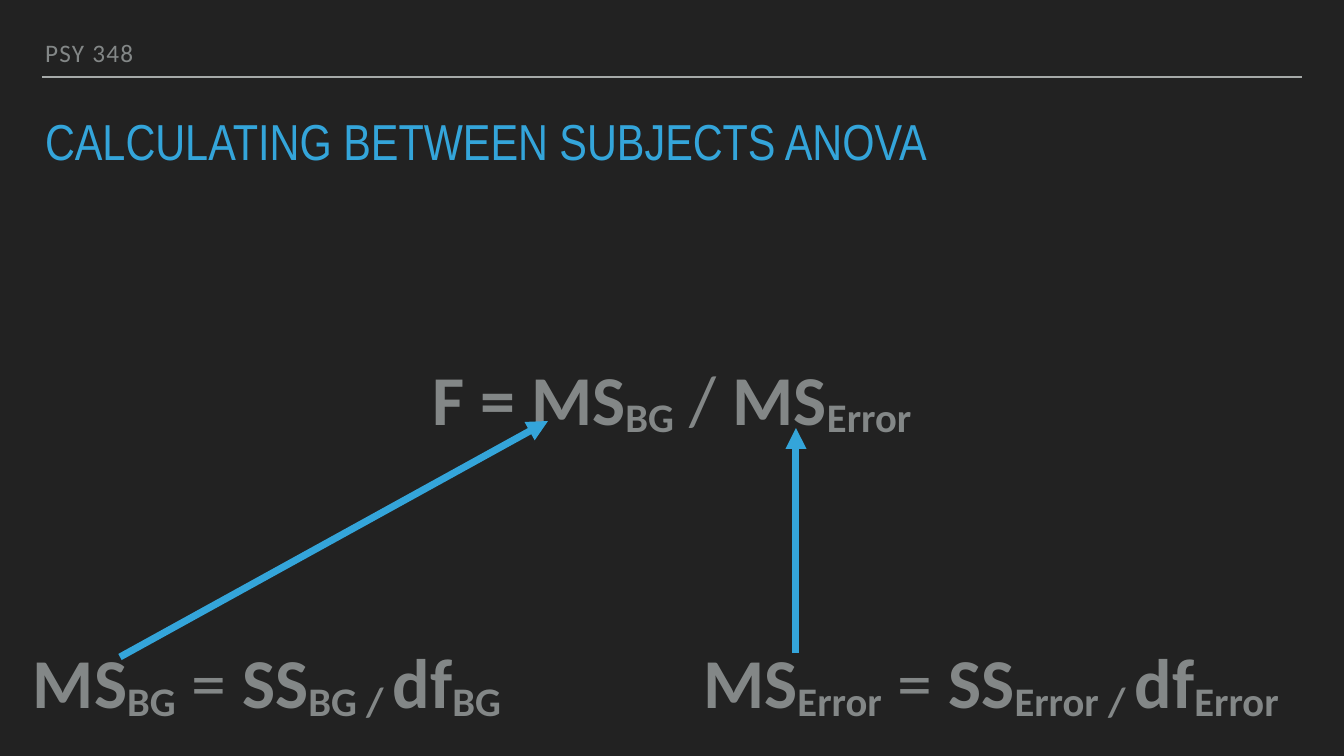
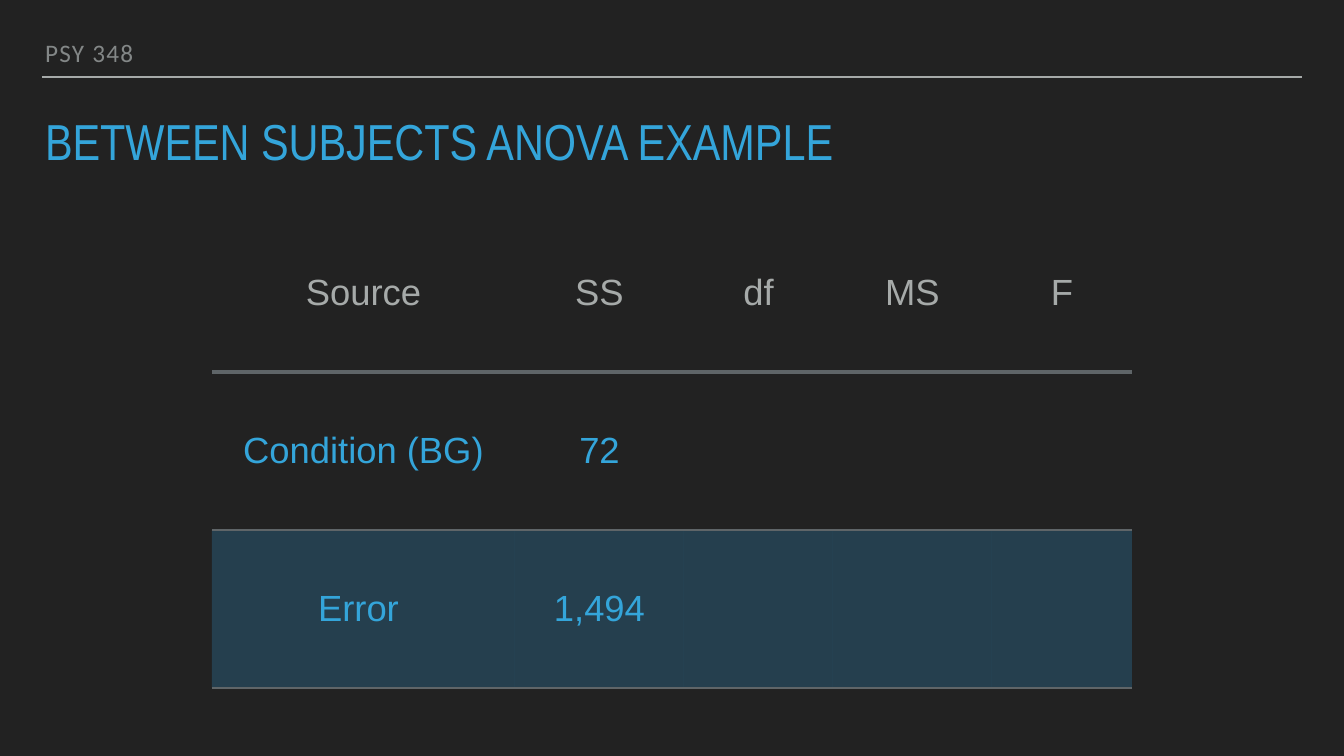
import pptx
import pptx.util
import pptx.dml.color
import pptx.enum.text
import pptx.enum.shapes
import lxml.etree

PX = 914400 / 50.4
BACK, GREY, PALE, BLUE = "222222", "838787", "A6AAA9", "34A5DA"
RULE, BAND = "5F6568", "2E87BB"
NS = "http://schemas.openxmlformats.org/drawingml/2006/main"
A = "{%s}" % NS
Pt = pptx.util.Pt
rgb = pptx.dml.color.RGBColor.from_string
ANCHOR = pptx.enum.text.MSO_ANCHOR
ALIGN = pptx.enum.text.PP_ALIGN


def write(shape, box, parts, face, size, tone):
    """Place shape and fill one paragraph; parts led by "_" are subscripts."""
    shape.left, shape.top, shape.width, shape.height = [round(n * PX) for n in box]
    frame = shape.text_frame
    frame.word_wrap = True
    frame.auto_size = pptx.enum.text.MSO_AUTO_SIZE.NONE
    frame.vertical_anchor = ANCHOR.TOP
    frame.margin_left = frame.margin_right = round(3 * PX)
    frame.margin_top = frame.margin_bottom = round(3 * PX)
    para = frame.paragraphs[0]
    props = para._p.get_or_add_pPr()
    props.set("marL", "0")
    props.set("indent", "0")
    lxml.etree.SubElement(props, A + "buNone")
    para.alignment = ALIGN.LEFT
    para.space_before = Pt(0)
    para.font.name, para.font.size = face, Pt(size)
    para.font.color.rgb = rgb(tone)
    for part in parts:
        run = para.add_run()
        run.text = part.lstrip("_")
        if part.startswith("_"):
            run._r.get_or_add_rPr().set("baseline", "-11000")
    return para


def draw(slide, ends, tone, width):
    line = slide.shapes.add_connector(
        pptx.enum.shapes.MSO_CONNECTOR.STRAIGHT, *[round(n * PX) for n in ends])
    line.line.color.rgb = rgb(tone)
    line.line.width = Pt(width)
    lxml.etree.SubElement(line._element.spPr, A + "effectLst")
    return line


deck = pptx.Presentation()
deck.slide_width, deck.slide_height = round(1344 * PX), round(756 * PX)
fill = deck.slide_master.background.fill
fill.solid()
fill.fore_color.rgb = rgb(BACK)

# Shared header, rule and title
slides = []
for layout, title in ((3, "CALCULATING BETWEEN SUBJECTS ANOVA"),
                      (1, "BETWEEN SUBJECTS ANOVA EXAMPLE")):
    slide = deck.slides.add_slide(deck.slide_layouts[layout])
    slides.append(slide)
    draw(slide, (42, 77, 1302, 77), PALE, 2)
    head = slide.placeholders[1]
    para = write(head, (42, 35, 1155, 35), ["PSY 348"], "Calibri", 36, GREY)
    para.line_spacing = 0.8
    para.runs[0]._r.get_or_add_rPr().set("spc", "180")
    head.text_frame.vertical_anchor = ANCHOR.BOTTOM
    para = write(slide.shapes.title, (42, 119, 1260, 56), [title],
                 "Arial Narrow", 72.2, BLUE)
    para.line_spacing = 0.8

# Formulas and arrows
first, second = slides
formulas = (
    (first.placeholders[2], (42, 352, 1260, 334),
     ["F = MS", "_BG", " / ", "MS", "_Error"]),
    (first.shapes.add_textbox(0, 0, 0, 0), (17, 636, 500, 120),
     ["MS", "_BG", " = ", "SS", "_BG / ", "df", "_BG"]),
    (first.shapes.add_textbox(0, 0, 0, 0), (691, 636, 600, 120),
     ["MS", "_Error", " = ", "SS", "_Error / ", "df", "_Error"]),
)
for shape, box, parts in formulas:
    para = write(shape, box, parts, "Calibri", 100, GREY)
    para.alignment = ALIGN.CENTER
    for run in para.runs:
        run.font.bold = run.text not in (" / ", " = ")

for ends in ((120, 657, 548, 421), (796, 653, 796, 428)):
    arrow = draw(first, ends, BLUE, 10)
    lxml.etree.SubElement(arrow.line._get_or_add_ln(), A + "tailEnd", type="triangle")

# ANOVA table
rows = (("Source", "SS", "df", "MS", "F"),
        ("Condition (BG)", "72", "", "", ""),
        ("Error ", "1,494", "", "", ""))
widths = (303, 169, 149, 159, 140)
high = 158
table = second.shapes.add_table(
    len(rows), len(widths), round(212 * PX), round(214 * PX),
    round(sum(widths) * PX), round(high * len(rows) * PX)).table
table._tbl.tblPr[0].text = "{2D5ABB26-0587-4C30-8999-92F81FD0307C}"
for col, width in zip(table.columns, widths):
    col.width = round(width * PX)
edges = (0, 5, 2, 2)
for r, texts in enumerate(rows):
    table.rows[r].height = round(high * PX)
    for c, text in enumerate(texts):
        cell = table.cell(r, c)
        cell.vertical_anchor = ANCHOR.MIDDLE
        cell.margin_left = cell.margin_right = round(3 * PX)
        cell.margin_top = cell.margin_bottom = round(3 * PX)
        cell.text = text
        para = cell.text_frame.paragraphs[0]
        para.alignment = ALIGN.CENTER
        para.font.name, para.font.size = "Arial", Pt(52)
        para.font.color.rgb = rgb(BLUE if r else PALE)
        props = cell._tc.get_or_add_tcPr()
        if r == 2:
            cell.fill.solid()
            cell.fill.fore_color.rgb = rgb(BAND)
            tint = props.find(".//" + A + "srgbClr")
            lxml.etree.SubElement(tint, A + "alpha", val="29000")
        else:
            cell.fill.background()
        for tag, width in (("lnB", edges[r + 1]), ("lnT", edges[r])):
            if width:
                edge = lxml.etree.Element(A + tag, w=str(Pt(width)))
                paint = lxml.etree.SubElement(edge, A + "solidFill")
                lxml.etree.SubElement(paint, A + "srgbClr", val=RULE)
                props.insert(0, edge)

deck.save("out.pptx")
